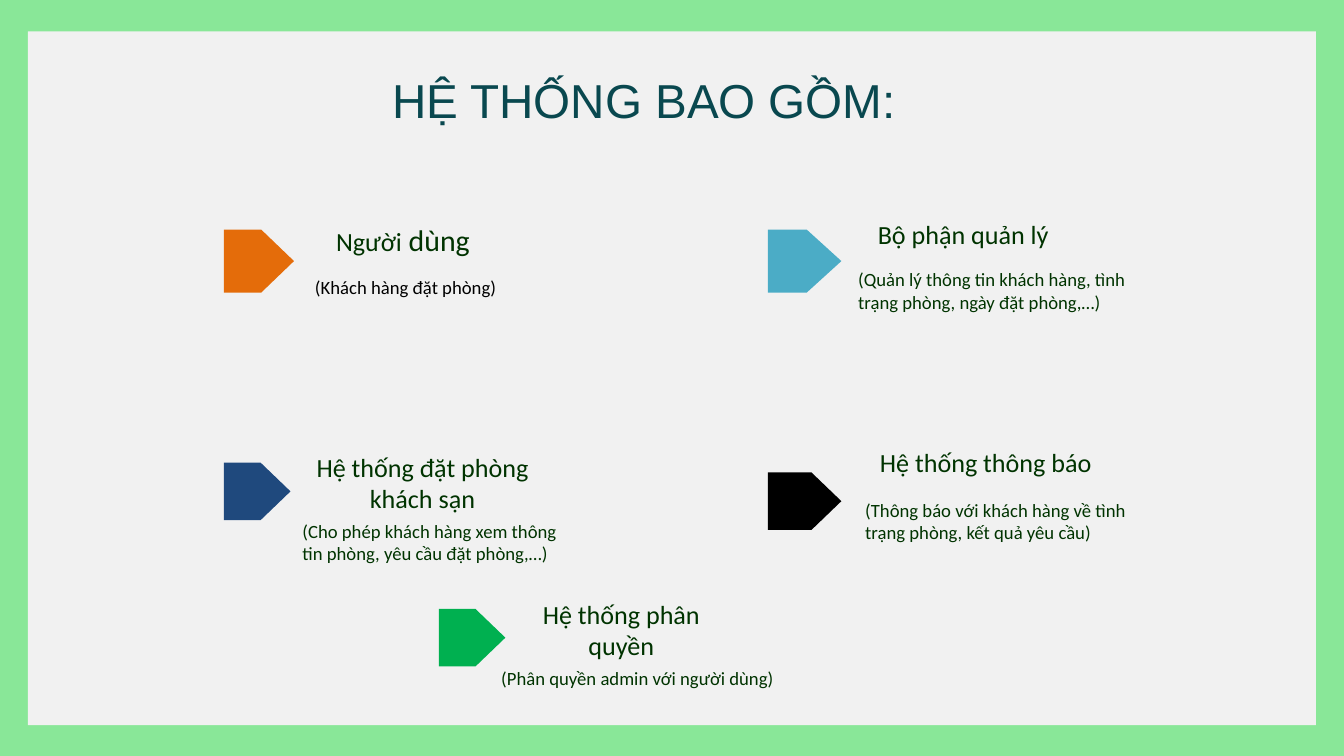
from pptx import Presentation
from pptx import util as u
from pptx.dml.color import RGBColor
from pptx.enum import shapes, text

EMU_PER_PX = 9525
WIDTH, HEIGHT = 1920, 1080
GREEN, PALE, TEAL, DARK, BLACK = "89E798", "F1F1F1", "09484F", "003300", "000000"
LEFT, CENTER, RIGHT = text.PP_ALIGN.LEFT, text.PP_ALIGN.CENTER, text.PP_ALIGN.RIGHT


def px(n):
    return u.Emu(n * EMU_PER_PX)


def color(hex_string):
    return RGBColor.from_string(hex_string)


class Deck:
    def __init__(self):
        self.prs = Presentation()
        self.prs.slide_width, self.prs.slide_height = px(WIDTH), px(HEIGHT)
        self.s = self.prs.slides.add_slide(self.prs.slide_layouts[6])

    def shape(self, kind, box, fill):
        sp = self.s.shapes.add_shape(kind, *map(px, box))
        sp.shadow.inherit = False
        sp.fill.solid()
        sp.fill.fore_color.rgb = color(fill)
        sp.line.fill.background()
        return sp

    def panel(self, box, fill):
        self.shape(shapes.MSO_SHAPE.RECTANGLE, box, fill)

    def pointer(self, box, fill, tip):
        self.shape(shapes.MSO_SHAPE.PENTAGON, box, fill).adjustments[0] = tip

    def label(self, box, runs, size, fill=DARK, align=LEFT, font="Calibri",
              inset=12, anchor=text.MSO_ANCHOR.MIDDLE):
        """Add one paragraph; runs are (words, own size or None) pairs."""
        tf = self.s.shapes.add_textbox(*map(px, box)).text_frame
        tf.word_wrap = True
        tf.vertical_anchor = anchor
        tf.margin_left = tf.margin_right = tf.margin_top = tf.margin_bottom = px(inset)
        p = tf.paragraphs[0]
        p.alignment = align
        p.font.name, p.font.size = font, u.Pt(size)
        p.font.color.rgb = color(fill)
        for words, own_size in runs:
            r = p.add_run()
            r.text = words
            if own_size:
                r.font.size = u.Pt(own_size)

    def title(self, box, words):
        self.label(box, [(words, None)], 51, TEAL, font="Arial", inset=0,
                   anchor=text.MSO_ANCHOR.TOP)

    def heading(self, box, runs, align):
        self.label(box, runs, 28, align=align)

    def note(self, box, words, fill):
        self.label(box, [(words, None)], 20, fill)


# pointer box, pointer colour, tip, heading box, heading runs, alignment,
# note box, note, note colour
PARTS = [
    ((320, 328, 100, 90), "E46C0A", 0.52,
     (468, 305, 270, 74), [("Người", None), (" dùng", 32)], LEFT,
     (438, 379, 398, 61), "(Khách hàng đặt phòng)", BLACK),
    ((1097, 328, 105, 90), "4BACC6", 0.55,
     (1242, 296, 369, 77), [("Bộ phận quản lý", None)], LEFT,
     (1214, 372, 441, 86),
     "(Quản lý thông tin khách hàng, tình trạng phòng, ngày đặt phòng,…)", DARK),
    ((320, 661, 95, 82), "1F497D", 0.52,
     (438, 638, 331, 102), [("Hệ thống đặt phòng khách sạn", None)], CENTER,
     (420, 733, 420, 82),
     "(Cho phép khách hàng xem thông tin phòng, yêu cầu đặt phòng,…)", DARK),
    ((1097, 675, 105, 82), "000000", 0.52,
     (1162, 638, 409, 44), [("Hệ thống thông báo", None)], RIGHT,
     (1224, 703, 420, 82),
     "(Thông báo với khách hàng về tình trạng phòng, kết quả yêu cầu)", DARK),
    ((627, 870, 95, 82), "00B050", 0.52,
     (722, 848, 331, 102), [("Hệ thống phân quyền", None)], CENTER,
     (704, 927, 420, 82), "(Phân quyền admin với người dùng)", DARK),
]


def main():
    deck = Deck()
    deck.panel((0, 0, WIDTH, HEIGHT), GREEN)
    deck.panel((40, 45, 1840, 991), PALE)
    deck.title((560, 101, 766, 83), "HỆ THỐNG BAO GỒM:")
    for (pointer_box, fill, tip, heading_box, runs, align,
         note_box, note, note_fill) in PARTS:
        deck.pointer(pointer_box, fill, tip)
        deck.heading(heading_box, runs, align)
        deck.note(note_box, note, note_fill)
    deck.prs.save("out.pptx")


if __name__ == "__main__":
    main()
